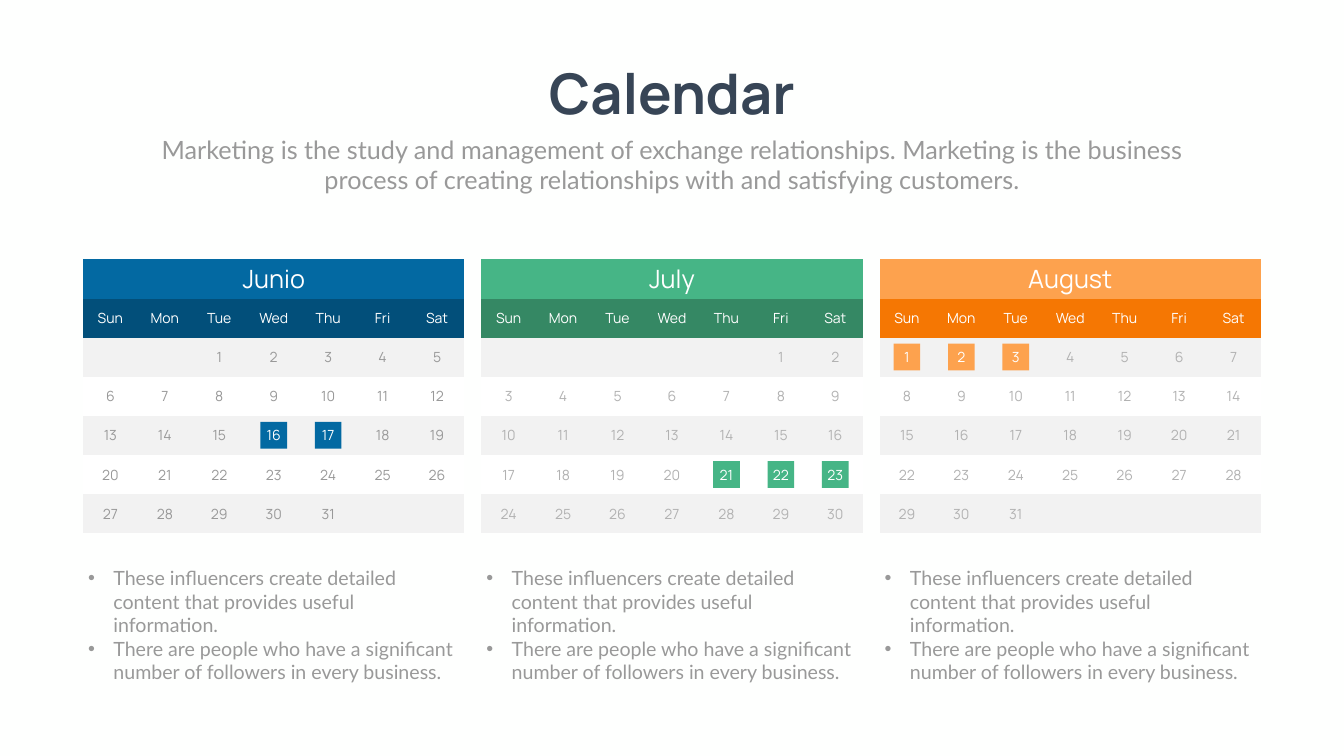
from lxml import etree
from pptx import Presentation
from pptx.dml.color import RGBColor
from pptx.enum.shapes import MSO_SHAPE
from pptx.enum.text import MSO_ANCHOR, MSO_AUTO_SIZE, PP_ALIGN
from pptx.oxml.ns import qn
from pptx.util import Inches, Pt

RECT = MSO_SHAPE.RECTANGLE
TOP, MIDDLE = MSO_ANCHOR.TOP, MSO_ANCHOR.MIDDLE
CENTER, LEFT = PP_ALIGN.CENTER, PP_ALIGN.LEFT
NO_FIT = MSO_AUTO_SIZE.NONE

PAPER = RGBColor(0xFE, 0xFF, 0xFE)
WHITE = RGBColor(0xFF, 0xFF, 0xFF)
BAND = RGBColor(0xF2, 0xF2, 0xF2)
NAVY = RGBColor(0x37, 0x45, 0x56)
GRAY = RGBColor(0x99, 0x99, 0x99)
PALE = RGBColor(0xB2, 0xB2, 0xB2)
BLUE = RGBColor(0x03, 0x69, 0xA2)
DEEP_BLUE = RGBColor(0x02, 0x4F, 0x7A)
GREEN = RGBColor(0x46, 0xB5, 0x86)
DEEP_GREEN = RGBColor(0x35, 0x88, 0x64)
AMBER = RGBColor(0xFD, 0xA2, 0x4E)
ORANGE = RGBColor(0xF5, 0x77, 0x03)

HEAD, BODY = "Manrope", "Lato"
PLAIN_STYLE = "{2D5ABB26-0587-4C30-8999-92F81FD0307C}"
DAYS = ["Sun", "Mon", "Tue", "Wed", "Thu", "Fri", "Sat"]
POINTS = [
    "These influencers create detailed content that provides useful information.",
    "There are people who have a significant number of followers in every business.",
]
# name, main colour, dark colour, day colour, first column, last day, marked days
MONTHS = [
    ("Junio", BLUE, DEEP_BLUE, GRAY, 2, 31, [16, 17]),
    ("July", GREEN, DEEP_GREEN, PALE, 5, 30, [21, 22, 23]),
    ("August", AMBER, ORANGE, PALE, 0, 31, [1, 2, 3]),
]
START, PITCH, GRID_TOP = 1.65, 7.9, 5.14
WIDTH, HEIGHT = 7.56, 5.44
COL, ROW, MARK = WIDTH / 7, HEIGHT / 7, 0.53


def write(para, text, size, font, color, bold=False, align=CENTER):
    para.alignment = align
    run = para.add_run()
    run.text = text
    run.font.size = Pt(size)
    run.font.name = font
    run.font.bold = bold
    run.font.color.rgb = color


def place(holder, left, top, width, height, anchor):
    """Move a placeholder and return its text frame."""
    holder.left, holder.top = Inches(left), Inches(top)
    holder.width, holder.height = Inches(width), Inches(height)
    frame = holder.text_frame
    frame.word_wrap = True
    frame.auto_size = NO_FIT
    frame.vertical_anchor = anchor
    return frame


prs = Presentation()
prs.slide_width, prs.slide_height = Inches(26.66), Inches(15)
slide = prs.slides.add_slide(prs.slide_layouts[4])
slide.background.fill.solid()
slide.background.fill.fore_color.rgb = PAPER
title, intro, *lists = slide.placeholders

frame = place(title, 10.53, 1.12, 5.6, 1.45, TOP)
write(frame.paragraphs[0], "Calendar", 80, HEAD, NAVY, bold=True)

frame = place(intro, 2.92, 2.61, 20.82, 1.31, TOP)
para = frame.paragraphs[0]
para.space_before = Pt(0)
write(para, "Marketing is the study and management of exchange relationships. "
      "Marketing is the business process of creating relationships with and "
      "satisfying customers.", 36, BODY, GRAY)

for i, (name, main, dark, ink, first, last, marks) in enumerate(MONTHS):
    left = START + i * PITCH

    # Month grid
    table = slide.shapes.add_table(7, 7, Inches(left), Inches(GRID_TOP),
                                   Inches(WIDTH), Inches(HEIGHT)).table
    table.first_row = table.horz_banding = False
    table._tbl.tblPr.find(qn("a:tableStyleId")).text = PLAIN_STYLE
    for r in range(7):
        for c in range(7):
            cell = table.cell(r, c)
            day = (r - 2) * 7 + c - first + 1
            if r == 0:
                text, size, color, fill = name if c == 0 else "", 36, WHITE, main
            elif r == 1:
                text, size, color, fill = DAYS[c], 20, WHITE, dark
            else:
                text = str(day) if 1 <= day <= last else ""
                size, color, fill = 20, ink, WHITE if r % 2 else BAND
            cell.fill.solid()
            cell.fill.fore_color.rgb = fill
            cell.vertical_anchor = MIDDLE
            if text:
                write(cell.text_frame.paragraphs[0], text, size, HEAD, color)
    table.cell(0, 0).merge(table.cell(0, 6))

    # Marked days, centred on their cells
    for day in marks:
        week, col = divmod(day + first - 1, 7)
        box = slide.shapes.add_shape(
            RECT, Inches(left + col * COL + (COL - MARK) / 2),
            Inches(GRID_TOP + (week + 2) * ROW + (ROW - MARK) / 2),
            Inches(MARK), Inches(MARK))
        box.shadow.inherit = False
        box.fill.solid()
        box.fill.fore_color.rgb = main
        box.line.fill.background()
        frame = box.text_frame
        frame.word_wrap = False
        frame.margin_left = frame.margin_right = 0
        frame.margin_top = frame.margin_bottom = 0
        frame.vertical_anchor = MIDDLE
        write(frame.paragraphs[0], str(day), 20, HEAD, WHITE)

    # Bullet list
    frame = place(lists[i], left, 11.18, WIDTH, 2.46, TOP)
    for n, text in enumerate(POINTS):
        para = frame.add_paragraph() if n else frame.paragraphs[0]
        props = para._p.get_or_add_pPr()
        props.set("marL", str(Inches(0.5)))
        props.set("indent", str(Inches(-0.5)))
        etree.SubElement(props, qn("a:buFont")).set("typeface", "Arial")
        etree.SubElement(props, qn("a:buChar")).set("char", "•")
        para.space_before = Pt(0)
        write(para, text, 28, BODY, GRAY, align=LEFT)

prs.save("out.pptx")
